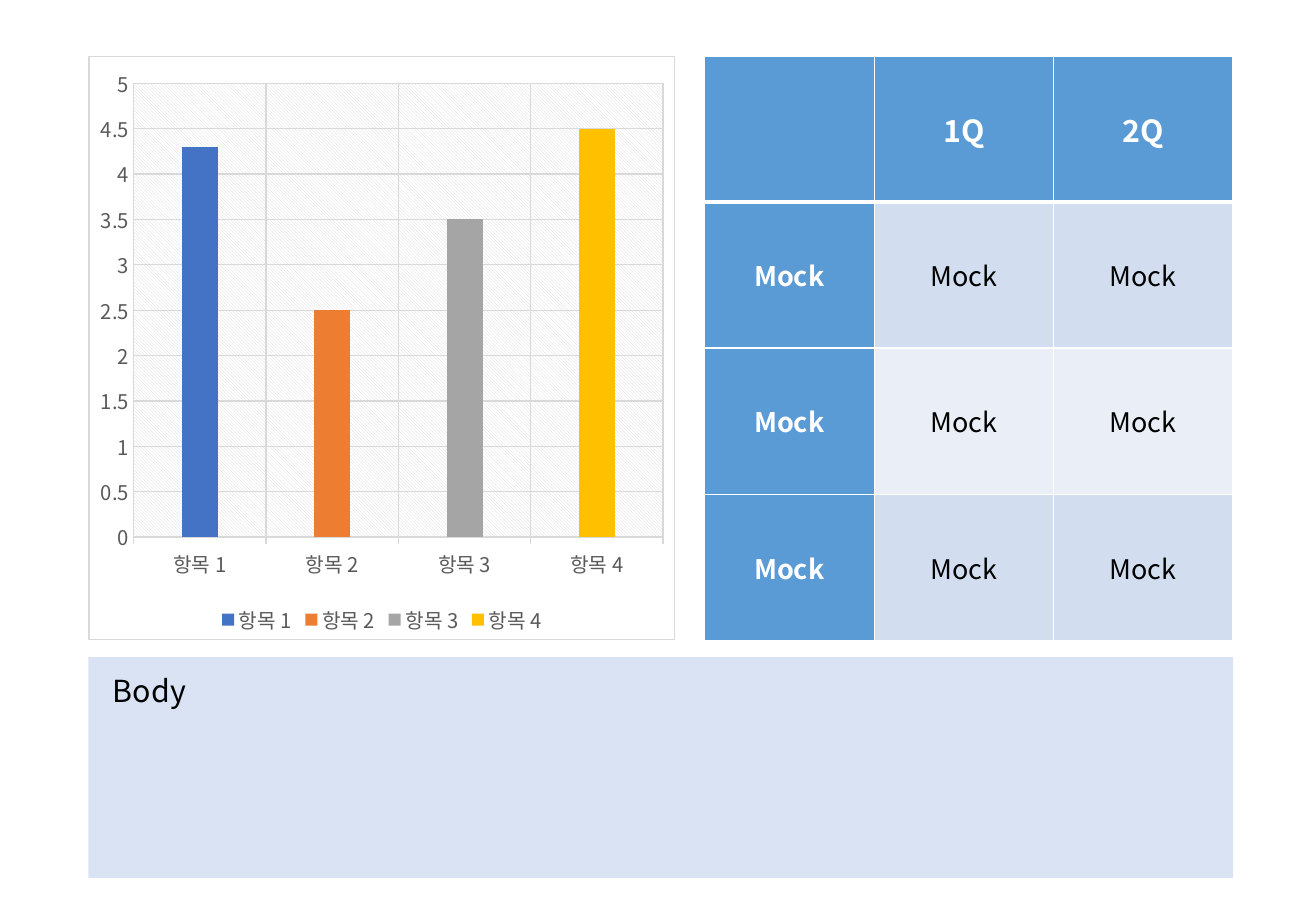
import dataclasses

import lxml.etree
import pptx
import pptx.chart.data
import pptx.dml.color
import pptx.enum.chart
import pptx.enum.shapes
import pptx.enum.text
import pptx.oxml
import pptx.oxml.ns
import pptx.util

Cm = pptx.util.Cm
FONT = "Noto Sans CJK KR"
HUES = {
    "white": "FFFFFF", "black": "000000", "label": "595959", "grid": "D9D9D9",
    "head": "5B9BD5", "odd": "D2DEEF", "even": "EAEFF7", "panel": "DAE3F3",
    "blue": "4472C4", "orange": "ED7D31", "gray": "A5A5A5", "gold": "FFC000",
}


@dataclasses.dataclass(frozen=True)
class Box:
    left: float
    top: float
    width: float
    height: float

    def place(self) -> tuple:
        return Cm(self.left), Cm(self.top), Cm(self.width), Cm(self.height)


@dataclasses.dataclass(frozen=True)
class Bar:
    name: str
    value: float
    hue: str


CHART = Box(1.85, 1.17, 12.27, 12.22)
TABLE = Box(14.72, 1.17, 11.04, 12.22)
PANEL = Box(1.85, 13.74, 23.93, 4.62)
BODY = Box(2.11, 13.94, 23.39, 1.02)
COLS = [3.56, 3.74, 3.74]
BARS = [
    Bar("항목 1", 4.3, "blue"),
    Bar("항목 2", 2.5, "orange"),
    Bar("항목 3", 3.5, "gray"),
    Bar("항목 4", 4.5, "gold"),
]
ROWS = [["", "1Q", "2Q"]] + [["Mock"] * 3 for _ in range(3)]


def color(hue: str) -> pptx.dml.color.RGBColor:
    return pptx.dml.color.RGBColor.from_string(HUES[hue])


def paint(fill, hue: str) -> None:
    fill.solid()
    fill.fore_color.rgb = color(hue)


def style(font, size: float, hue: str, bold: bool = False) -> None:
    font.name, font.size, font.bold = FONT, pptx.util.Pt(size), bold
    font.color.rgb = color(hue)


def write(frame, text: str, *, size: float, hue: str = "black",
          bold: bool = False, align=None) -> None:
    part = frame.paragraphs[0]
    part.alignment = align
    run = part.add_run()
    run.text = text
    style(run.font, size, hue, bold)
    for tag in ("a:ea", "a:cs"):
        face = lxml.etree.SubElement(run.font._element, pptx.oxml.ns.qn(tag))
        face.set("typeface", FONT)


def tint(hue: str) -> str:
    return f'<a:solidFill><a:srgbClr val="{HUES[hue]}"/></a:solidFill>'


def stroke(tag: str, hue: str, points: float):
    return pptx.oxml.parse_xml(
        f'<a:{tag} {pptx.oxml.ns.nsdecls("a")} w="{pptx.util.Pt(points)}">'
        f"{tint(hue)}</a:{tag}>")


def backdrop(fill: str):
    """Make the chart's shape properties element around a fill."""
    return pptx.oxml.parse_xml(
        f'<c:spPr {pptx.oxml.ns.nsdecls("c", "a")}>{fill}</c:spPr>')


def rule(line) -> None:
    line.color.rgb = color("grid")
    line.width = pptx.util.Pt(0.75)


def draw_chart(slide) -> None:
    data = pptx.chart.data.CategoryChartData()
    data.categories = [bar.name for bar in BARS]
    data.add_series("Series 1", [bar.value for bar in BARS])
    chart = slide.shapes.add_chart(
        pptx.enum.chart.XL_CHART_TYPE.COLUMN_CLUSTERED, *CHART.place(), data).chart
    chart.has_title = False
    style(chart.font, 10, "black")

    plot = chart.plots[0]
    plot.gap_width, plot.overlap, plot.vary_by_categories = 267, -43, True
    for i, bar in enumerate(BARS):
        paint(plot.series[0].points[i].format.fill, bar.hue)

    marks = pptx.enum.chart.XL_TICK_MARK
    for axis, mark in ((chart.category_axis, marks.OUTSIDE),
                       (chart.value_axis, marks.NONE)):
        axis.major_tick_mark, axis.minor_tick_mark = mark, marks.NONE
        axis.has_major_gridlines = True
        rule(axis.major_gridlines.format.line)
        style(axis.tick_labels.font, 12, "label")
    rule(chart.category_axis.format.line)
    scale = chart.value_axis
    scale.format.line.fill.background()
    scale.minimum_scale, scale.maximum_scale, scale.major_unit = 0, 5, 0.5

    chart.has_legend = True
    chart.legend.position = pptx.enum.chart.XL_LEGEND_POSITION.BOTTOM
    chart.legend.include_in_layout = False
    style(chart.legend.font, 12, "label")

    root = chart._chartSpace.chart
    root.plotArea.append(backdrop(
        '<a:pattFill prst="ltDnDiag">'
        f'<a:fgClr><a:srgbClr val="{HUES["grid"]}"/></a:fgClr>'
        f'<a:bgClr><a:srgbClr val="{HUES["white"]}"/></a:bgClr></a:pattFill>'))
    area = backdrop(tint("white"))
    area.append(stroke("ln", "grid", 0.75))
    root.addnext(area)


def draw_table(slide) -> None:
    table = slide.shapes.add_table(len(ROWS), len(COLS), *TABLE.place()).table
    for col, width in zip(table.columns, COLS):
        col.width = Cm(width)
    for r, row in enumerate(ROWS):
        table.rows[r].height = Cm(TABLE.height / len(ROWS))
        for c, text in enumerate(row):
            cell = table.cell(r, c)
            head = r == 0 or c == 0
            paint(cell.fill, "head" if head else "odd" if r % 2 else "even")
            cell.vertical_anchor = pptx.enum.text.MSO_ANCHOR.MIDDLE
            if text:
                write(cell.text_frame, text, size=16 if r else 18, bold=head,
                      hue="white" if head else "black",
                      align=pptx.enum.text.PP_ALIGN.CENTER)
            edges = {"lnL": 1, "lnR": 1, "lnT": 3 if r == 1 else 1,
                     "lnB": 3 if r == 0 else 1}
            for i, (tag, points) in enumerate(edges.items()):
                cell._tc.tcPr.insert(i, stroke(tag, "white", points))


def draw_panel(slide) -> None:
    panel = slide.shapes.add_shape(
        pptx.enum.shapes.MSO_SHAPE.RECTANGLE, *PANEL.place())
    panel.shadow.inherit = False
    paint(panel.fill, "panel")
    panel.line.fill.background()


def draw_body(slide) -> None:
    frame = slide.shapes.add_textbox(*BODY.place()).text_frame
    frame.word_wrap = True
    frame.auto_size = pptx.enum.text.MSO_AUTO_SIZE.SHAPE_TO_FIT_TEXT
    write(frame, "Body", size=18)


def main() -> None:
    deck = pptx.Presentation()
    deck.slide_width, deck.slide_height = Cm(27.51), Cm(19.05)
    slide = deck.slides.add_slide(deck.slide_layouts[6])
    for draw in (draw_panel, draw_chart, draw_table, draw_body):
        draw(slide)
    deck.save("out.pptx")


if __name__ == "__main__":
    main()
